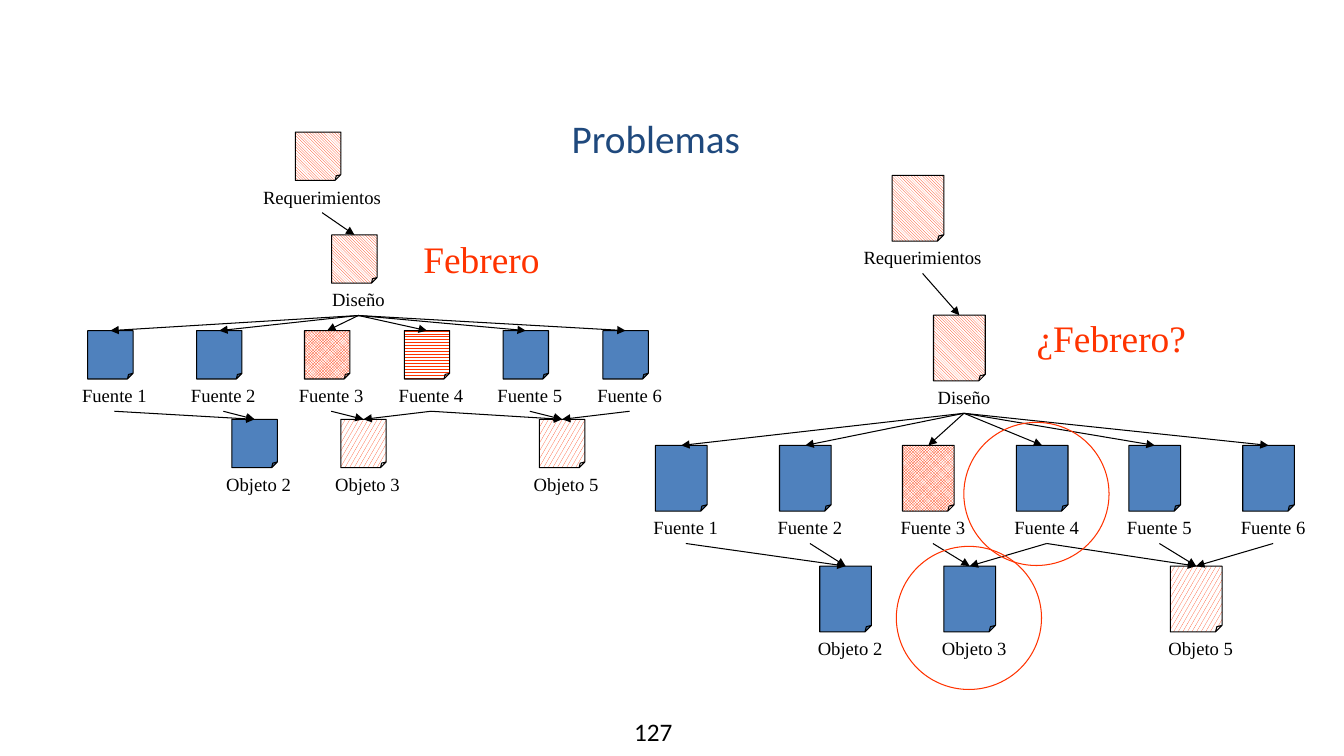
import pptx
import pptx.dml.color
import pptx.enum.dml
import pptx.enum.shapes
import pptx.enum.text
import pptx.oxml
import pptx.oxml.ns
import pptx.util

Inches = pptx.util.Inches
Pt = pptx.util.Pt
SHAPE = pptx.enum.shapes.MSO_SHAPE
ALIGN = pptx.enum.text.PP_ALIGN
PATTERN = pptx.enum.dml.MSO_PATTERN
SPACE = pptx.oxml.ns.nsdecls("a")

COLORS = {"black": "000000", "white": "FFFFFF", "blue": "4F81BD",
          "navy": "1F497D", "red": "FF3300"}
SERIF = "Times New Roman"
FILLS = {"down": PATTERN.DARK_DOWNWARD_DIAGONAL,
         "check": PATTERN.SMALL_CHECKER_BOARD,
         "zigzag": PATTERN.ZIG_ZAG,
         "dots": PATTERN.LARGE_CONFETTI}

# Page offsets from the tree's corner, before scaling
ROWS = {"Fuente": 1.97, "Objeto": 2.85}
PAGES = {"Requerimientos": (2.06, 0), "Diseño": (2.42, 1.02),
         "Fuente 1": (0, ROWS["Fuente"]), "Fuente 2": (1.08, ROWS["Fuente"]),
         "Fuente 3": (2.15, ROWS["Fuente"]), "Fuente 4": (3.14, ROWS["Fuente"]),
         "Fuente 5": (4.12, ROWS["Fuente"]), "Fuente 6": (5.11, ROWS["Fuente"]),
         "Objeto 2": (1.43, ROWS["Objeto"]), "Objeto 3": (2.51, ROWS["Objeto"]),
         "Objeto 5": (4.48, ROWS["Objeto"])}
LINKS = [("Requerimientos", "Diseño")]
LINKS += [("Diseño", f"Fuente {n}") for n in range(1, 7)]
LINKS += [(f"Fuente {a}", f"Objeto {b}") for a, b in
          [(1, 2), (2, 2), (3, 3), (4, 3), (4, 5), (5, 5), (6, 5)]]
PAGE_W, PAGE_H = 0.45, 0.48
LABEL_W, LABEL_H = 1.61, 0.32
LABEL_DX = -0.54
MONTH_AT = (3.23, 0.98)


def color(name):
    return pptx.dml.color.RGBColor.from_string(COLORS[name])


def add_xml(parent, content):
    parent.append(pptx.oxml.parse_xml(f"<a:{content} {SPACE}/>"))


def add_text(shapes, text, x, y, w, h, size=13.3, font=SERIF, ink="black",
             align=ALIGN.LEFT, wrap=True):
    box = shapes.add_textbox(Inches(x), Inches(y), Inches(w), Inches(h))
    frame = box.text_frame
    frame.word_wrap = wrap
    frame.auto_size = pptx.enum.text.MSO_AUTO_SIZE.SHAPE_TO_FIT_TEXT
    para = frame.paragraphs[0]
    para.alignment = align
    run = para.add_run()
    run.text = text
    run.font.size = Pt(size)
    run.font.name = font
    run.font.color.rgb = color(ink)


def add_shape(shapes, kind, x, y, w, h, ink="black"):
    shape = shapes.add_shape(kind, Inches(x), Inches(y), Inches(w), Inches(h))
    shape.shadow.inherit = False
    shape.line.color.rgb = color(ink)
    shape.line.width = Pt(0.75)
    return shape


def add_page(shapes, x, y, w, h, fill):
    page = add_shape(shapes, SHAPE.FOLDED_CORNER, x, y, w, h)
    guides = page._element.spPr.find(".//" + pptx.oxml.ns.qn("a:avLst"))
    add_xml(guides, 'gd name="adj" fmla="val 12500"')
    if fill in FILLS:
        page.fill.patterned()
        page.fill.pattern = FILLS[fill]
        page.fill.fore_color.rgb = color("red")
        page.fill.back_color.rgb = color("white")
    else:
        page.fill.solid()
        page.fill.fore_color.rgb = color(fill)


def add_ring(shapes, x, y):
    ring = add_shape(shapes, SHAPE.OVAL, x, y, 1.44, 1.42, ink="red")
    ring.fill.background()


def add_arrow(shapes, start, end):
    arrow = shapes.add_connector(
        pptx.enum.shapes.MSO_CONNECTOR.STRAIGHT,
        *(Inches(v) for v in start + end))
    arrow.line.color.rgb = color("black")
    arrow.line.width = Pt(0.75)
    outline = arrow._element.spPr.find(pptx.oxml.ns.qn("a:ln"))
    add_xml(outline, 'tailEnd type="triangle"')
    add_xml(arrow._element.spPr, "effectLst")


def add_tree(slide, left, top, month, month_w, fills, sx=1, sy=1):
    """Draw one grouped tree; pages not named in fills are blue."""
    shapes = slide.shapes.add_group_shape().shapes
    w, h = PAGE_W * sx, PAGE_H * sy
    label_w, label_dx = LABEL_W * sx, LABEL_DX * sx
    spots = {name: (left + x * sx, top + y * sy)
             for name, (x, y) in PAGES.items()}
    for name, (x, y) in spots.items():
        add_page(shapes, x, y, w, h, fills.get(name, "blue"))
        add_text(shapes, name, x + label_dx, y + h, label_w, LABEL_H,
                 align=ALIGN.CENTER)
    for source, target in LINKS:
        x1, y1 = spots[source]
        x2, y2 = spots[target]
        add_arrow(shapes, (x1 + label_dx + label_w / 2, y1 + h + LABEL_H),
                  (x2 + w / 2, y2))
    add_text(shapes, month, left + MONTH_AT[0] * sx, top + MONTH_AT[1] * sy,
             month_w, 0.55, size=26.7, ink="red", wrap=False)


def main():
    deck = pptx.Presentation()
    deck.slide_width = Inches(13.33)
    deck.slide_height = Inches(7.5)
    slide = deck.slides.add_slide(deck.slide_layouts[6])
    shapes = slide.shapes

    add_text(shapes, "127", 6.19, 7.06, 0.64, 0.4, size=18, font="Calibri",
             wrap=False)
    add_text(shapes, "Problemas", 0.84, 1.08, 11.33, 0.58, size=28,
             font="Calibri", ink="navy", align=ALIGN.CENTER)

    fills = {"Requerimientos": "down", "Diseño": "down",
             "Fuente 3": "check", "Objeto 5": "dots"}
    add_tree(slide, 6.5, 1.74, "¿Febrero?", 1.7, fills, sx=1.14, sy=1.36)
    add_ring(shapes, 8.89, 5.42)
    add_ring(shapes, 9.56, 4.19)
    add_tree(slide, 0.87, 1.31, "Febrero", 1.37,
             {**fills, "Fuente 4": "zigzag", "Objeto 3": "dots"})
    deck.save("out.pptx")


if __name__ == "__main__":
    main()
